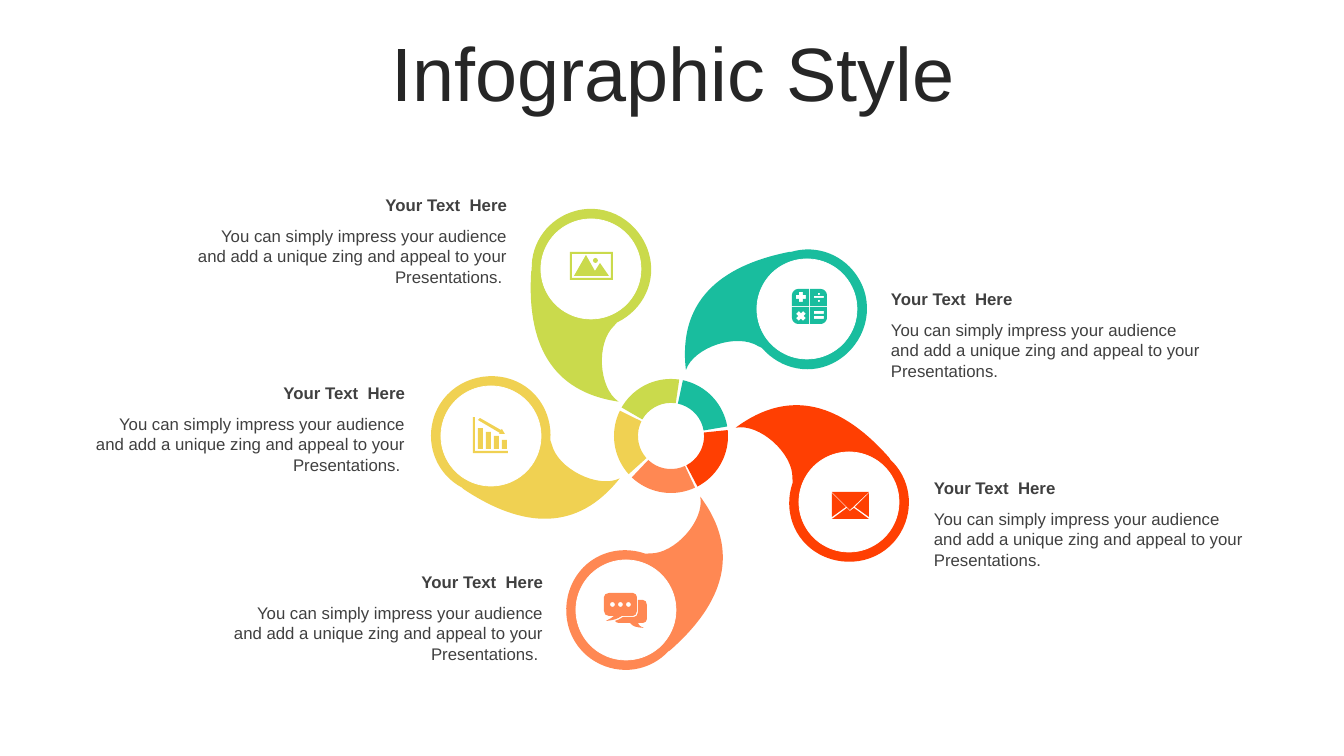
from itertools import product
from math import cos, radians, sin
from lxml.etree import SubElement
from pptx import Presentation
from pptx.dml.color import RGBColor
from pptx.enum.shapes import MSO_SHAPE
from pptx.enum.text import MSO_ANCHOR, PP_ALIGN
from pptx.oxml.ns import qn
from pptx.util import Pt

SCALE = 12192000 / 1344
COLORS = {"teal": "19BD9E", "lime": "CADA4C", "gold": "F0D152", "coral": "FF8853",
          "red": "FF3F02", "white": "FFFFFF", "title": "262626", "text": "404040"}
HEAD = "Your Text  Here"
BODY = "You can simply impress your audience and add a unique zing and appeal to your Presentations."


def emu(px):
    return round(px * SCALE)


def pairs(step):
    return list(zip(step[::2], step[1::2]))


def shift(path, rule):
    return [tuple(v for x, y in pairs(step) for v in rule(x, y)) for step in path]


def spin(path, angle):
    c, s = cos(radians(angle)), sin(radians(angle))
    return shift(path, lambda x, y: (x * c - y * s, x * s + y * c))


def box(x, y, w, h):
    return [(x, y), (x + w, y), (x + w, y + h), (x, y + h)]


def dot(x, y, size):
    r = size / 2
    k = r * 0.55
    ring = [(r, 0)] + [spin([(r, k, k, r, 0, r)], turn)[0] for turn in range(0, 360, 90)]
    return shift(ring, lambda a, b: (x + r + a, y + r + b))


def cross(x, y, angle):
    arm = [(-2, -2), (-2, -5), (2, -5)]
    star = [point for turn in range(0, 360, 90) for point in spin(arm, angle + turn)]
    return shift(star, lambda a, b: (x + a, y + b))


def corner(right, low):
    quad = [(6, 0), (17, 0), (17, 17), (0, 17), (0, 6), (0, 3, 3, 0, 6, 0)]
    return shift(quad, lambda x, y: (35 - x if right else x, 35 - y if low else y))


def trace(path):
    points = []
    for step in path:
        if len(step) == 2:
            points.append(step)
            continue
        curve = [points[-1]] + pairs(step)
        for i in range(1, 13):
            t = i / 12
            u = 1 - t
            parts = (u**3, 3 * u * u * t, 3 * u * t * t, t**3)
            points.append(tuple(sum(p * v for p, v in zip(parts, axis)) for axis in zip(*curve)))
    return points


PETAL = [(52, -30), (69, -1, 58, 35, 30, 52), (5, 67, -26, 61, -45, 39), (-49, 37),
         (-70, 24, -113, 38, -121, 61), (-129, -7, -88, -43, -18, -57), (-16, -57),
         (10, -65, 38, -54, 52, -30)]

MAIL = [[(22, 16), (37, 27), (0, 27), (15, 16), (18, 19)],
        [(37, 1), (37, 25), (23, 15)],
        [(0, 1), (14, 15), (0, 25)],
        [(0, 0), (37, 0), (18, 18)]]

CHART = [box(5 + 8 * i, 11 + 4 * i, 5, 21 - 4 * i) for i in range(4)] + [
    [(7, 1), (28, 13), (29, 12), (32, 17), (26, 17), (27, 16), (5, 3)],
    [(0, 0), (2, 0), (2, 34), (35, 34), (35, 36), (0, 36)]]

CALC = [corner(right, low) for right, low in product((False, True), repeat=2)] + [
    cross(9, 8, 0), cross(9, 27, 45), box(26, 4, 2, 2), box(22, 7, 10, 2),
    box(26, 11, 2, 2), box(22, 22, 10, 3), box(22, 27, 10, 3)]

CHAT = [dot(x, 9, 5) for x in (6, 14, 22)] + [
    [(5, 0), (29, 0), (31, 0, 33, 2, 33, 4), (33, 18), (33, 21, 31, 23, 29, 23),
     (18, 23), (13, 26, 11, 27, 2, 28), (7, 25, 8, 25, 10, 23), (5, 23),
     (2, 23, 0, 21, 0, 18), (0, 4), (0, 2, 2, 0, 5, 0)],
    [(34, 7), (39, 7), (41, 7, 43, 9, 43, 12), (43, 26), (43, 28, 41, 30, 39, 30),
     (34, 30), (35, 32, 35, 33, 40, 35), (31, 34, 30, 34, 26, 30), (15, 30),
     (13, 30, 12, 29, 11, 28), (14, 27, 16, 26, 19, 24), (30, 24),
     (32, 24, 34, 22, 34, 19)]]

PHOTO = [dot(23, 6, 5), box(2, 2, 39, 24), box(0, 0, 43, 28),
         [(16, 3), (25, 19), (30, 11), (39, 24), (4, 24)]]

PARTS = [
    ("teal", (807, 309), 0, 102, CALC, (792, 289), (881, 284), False),
    ("lime", (591, 269), 285, 30, PHOTO, (570, 252), (184, 190), True),
    ("gold", (491, 436), 225, 318, CHART, (473, 417), (82, 378), True),
    ("coral", (626, 610), 150, 245, CHAT, (604, 593), (220, 567), True),
    ("red", (849, 502), 60, 174, MAIL, (832, 492), (924, 473), False)]


class Deck:
    font = "Arial"

    def __init__(self):
        self.show = Presentation()
        self.show.slide_width, self.show.slide_height = emu(1344), emu(756)
        self.slide = self.show.slides.add_slide(self.show.slide_layouts[6])

    def paint(self, shape, color, line=None):
        shape.shadow.inherit = False
        shape.fill.solid()
        shape.fill.fore_color.rgb = RGBColor.from_string(COLORS[color])
        if line:
            shape.line.color.rgb = RGBColor.from_string(COLORS[line])
            shape.line.width = Pt(0.5)
        else:
            shape.line.fill.background()
        return shape

    def shape(self, kind, x, y, size, color, line=None):
        item = self.slide.shapes.add_shape(kind, emu(x), emu(y), emu(size), emu(size))
        return self.paint(item, color, line)

    def halo(self, x, y, size):
        item = self.shape(MSO_SHAPE.OVAL, x, y, size, "white")
        tone = item._element.spPr.find(".//" + qn("a:srgbClr"))
        SubElement(tone, qn("a:alpha")).set("val", "50000")

    def arc(self, x, y, size, color, turn):
        item = self.shape(MSO_SHAPE.BLOCK_ARC, x, y, size, color)
        for i, value in enumerate((108, 149.02, 0.21)):
            item.adjustments[i] = value
        item.rotation = turn

    def draw(self, left, top, loops, color):
        loops = [shift(loop, lambda x, y: (emu(left + x), emu(top + y))) for loop in loops]
        pen = self.slide.shapes.build_freeform(*loops[0][0], scale=1.0)
        for loop in loops:
            pen.move_to(*loop[0])
            pen.add_line_segments(trace(loop)[1:], close=True)
        item = self.paint(pen.convert_to_shape(), color)
        route = item._element.spPr.find(".//" + qn("a:path"))
        for node in list(route):
            route.remove(node)
        for loop in loops:
            for i, step in enumerate(loop):
                kind = "a:cubicBezTo" if len(step) == 6 else "a:lnTo" if i else "a:moveTo"
                node = SubElement(route, qn(kind))
                for x, y in pairs(step):
                    SubElement(node, qn("a:pt"), x=str(x - item.left), y=str(y - item.top))
            SubElement(route, qn("a:close"))

    def text(self, x, y, w, h, words, size, color, align, bold=False):
        frame = self.slide.shapes.add_textbox(emu(x), emu(y), emu(w), emu(h)).text_frame
        frame.word_wrap = True
        frame.text = words
        line = frame.paragraphs[0]
        line.alignment = align
        font = line.runs[0].font
        font.name, font.size, font.bold = self.font, Pt(size), bold
        font.color.rgb = RGBColor.from_string(COLORS[color])
        return frame

    def title(self, words):
        frame = self.text(35, 37, 1276, 80, words, 54, "title", PP_ALIGN.CENTER)
        frame.vertical_anchor = MSO_ANCHOR.MIDDLE
        frame.paragraphs[0].line_spacing = 0.9

    def label(self, x, y, right):
        align = PP_ALIGN.RIGHT if right else PP_ALIGN.LEFT
        self.text(x, y, 333, 30, HEAD, 12, "text", align, True)
        self.text(x, y + 31, 333, 71, BODY + " " * right, 12, "text", align)


def main():
    deck = Deck()
    deck.title("Infographic Style")
    deck.halo(605, 370, 132)
    for color, _, _, turn, *_ in PARTS:
        deck.arc(614, 379, 114, color, turn)
    for color, (x, y), turn, _, icon, place, note, right in PARTS:
        deck.draw(x, y, [spin(PETAL, turn)], color)
        deck.shape(MSO_SHAPE.OVAL, x - 50, y - 50, 100, "white", "white")
        deck.draw(*place, icon, color)
        deck.label(*note, right)
    deck.show.save("out.pptx")


if __name__ == "__main__":
    main()
